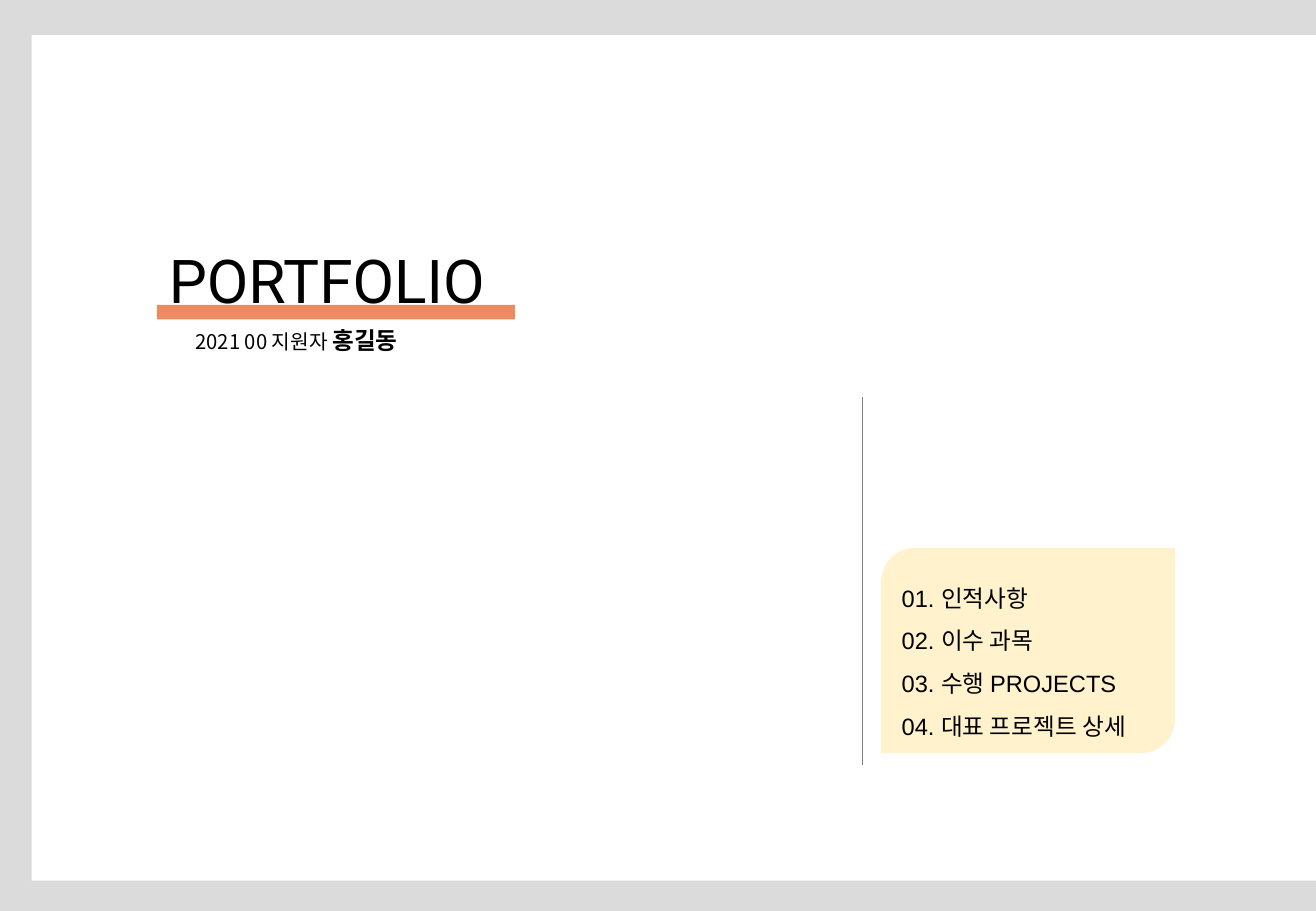
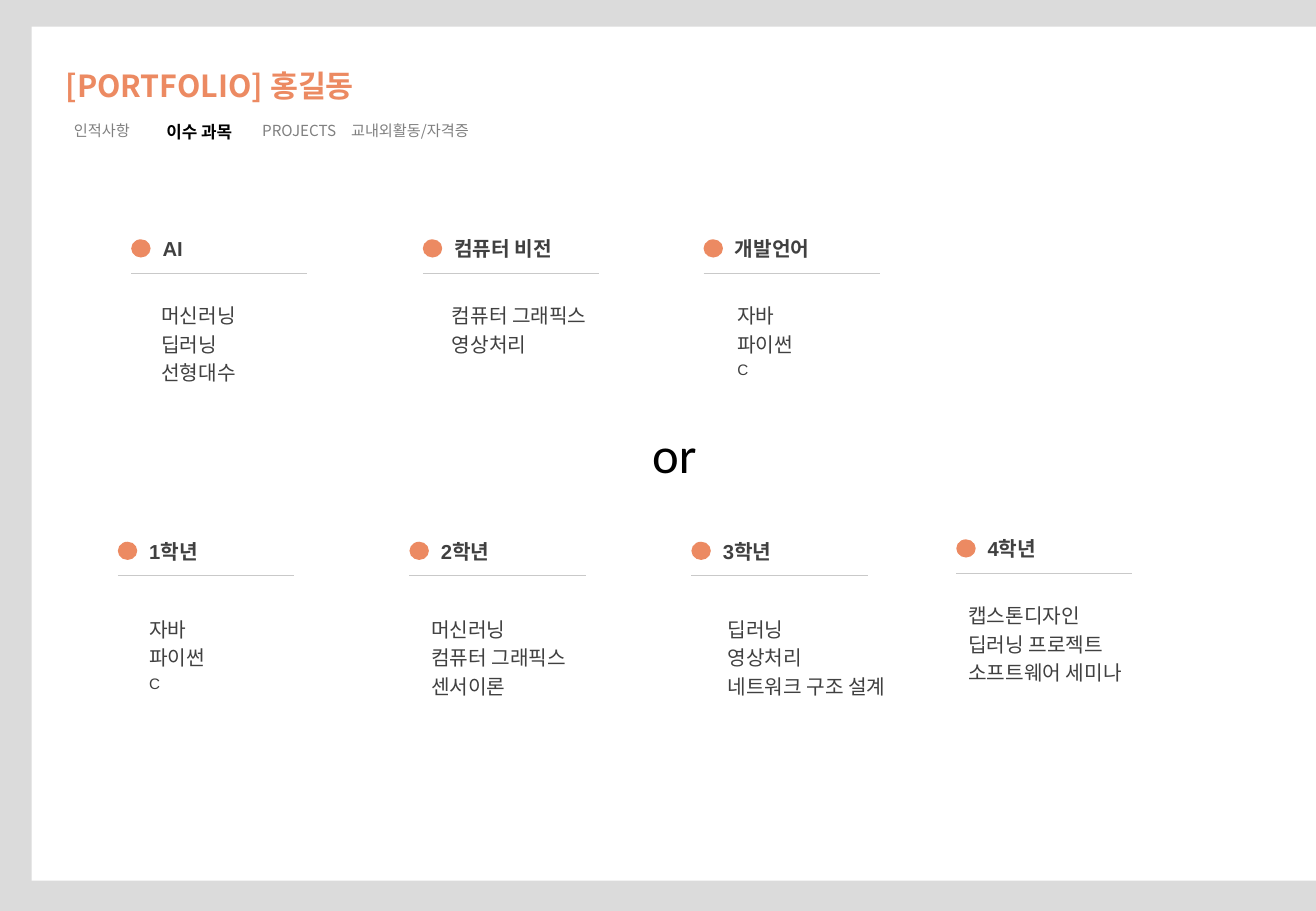
from lxml.etree import SubElement
from pptx import Presentation
from pptx.dml.color import RGBColor
from pptx.enum.shapes import MSO_CONNECTOR, MSO_SHAPE
from pptx.enum.text import MSO_ANCHOR, MSO_AUTO_SIZE, PP_ALIGN
from pptx.oxml.ns import qn
from pptx.util import Inches, Pt

BACK = RGBColor(0xDB, 0xDB, 0xDB)
WHITE = RGBColor(0xFF, 0xFF, 0xFF)
BLACK = RGBColor(0, 0, 0)
DARK = RGBColor(0x40, 0x40, 0x40)
GRAY = RGBColor(0x80, 0x80, 0x80)
PALE = RGBColor(0xC9, 0xC9, 0xC9)
CORAL = RGBColor(0xEC, 0x8A, 0x62)
CREAM = RGBColor(0xFF, 0xF2, 0xCC)
NOTO = "Noto Sans CJK KR"


def write(shape, text, box=None, size=12, color=DARK, font="Arial", bold=False,
          align=PP_ALIGN.LEFT, anchor=MSO_ANCHOR.TOP, spacing=1.0):
    """Add text to the last paragraph of a shape; each new line starts another."""
    if box:
        shape.left, shape.top, shape.width, shape.height = map(Inches, box)
    frame = shape.text_frame
    frame.word_wrap = True
    frame.auto_size = MSO_AUTO_SIZE.NONE
    frame.vertical_anchor = anchor
    for i, line in enumerate(text.split("\n")):
        para = frame.add_paragraph() if i else frame.paragraphs[-1]
        para.alignment = align
        para.line_spacing = spacing
        para.space_before = Pt(0)
        run = para.add_run()
        run.text = line
        run.font.size = Pt(size)
        run.font.bold = bold
        run.font.color.rgb = color
        run.font.name = font
        east = SubElement(run.font._element, qn("a:ea"))
        east.set("typeface", NOTO)


def paint(slide, kind, box, color):
    shape = slide.shapes.add_shape(kind, *map(Inches, box))
    shape.shadow.inherit = False
    shape.fill.solid()
    shape.fill.fore_color.rgb = color
    shape.line.fill.background()
    return shape


deck = Presentation()
deck.slide_width, deck.slide_height = Inches(10.83), Inches(7.5)
fill = deck.slide_master.background.fill
fill.solid()
fill.fore_color.rgb = BACK

# Cover with contents
cover = deck.slides.add_slide(deck.slide_layouts[1])
title, body = cover.placeholders
panels = [
    (MSO_SHAPE.RECTANGLE, (0.26, 0.29, 10.58, 6.96), WHITE),
    (MSO_SHAPE.ROUND_2_DIAG_RECTANGLE, (7.25, 4.51, 2.42, 1.69), CREAM),
    (MSO_SHAPE.RECTANGLE, (1.29, 2.51, 2.95, 0.12), CORAL),
]
for kind, box, color in panels:
    title.element.addprevious(paint(cover, kind, box, color).element)

write(title, "PORTFOLIO", (1.29, 1.95, 2.99, 0.7), size=35.8, color=BLACK, font="Roboto")
name = cover.shapes.add_textbox(0, 0, 0, 0)
write(name, "2021 00 지원자 ", (1.51, 2.63, 2.03, 0.34), color=BLACK, font=NOTO)
write(name, "홍길동", size=14, color=BLACK, font=NOTO, bold=True)

write(body, "01. 인적사항\n02. 이수 과목\n03. 수행 PROJECTS\n04. 대표 프로젝트 상세",
      (7.32, 4.64, 2.28, 1.51), size=14, color=BLACK, spacing=1.5)
for para in body.text_frame.paragraphs:
    props = para._p.get_or_add_pPr()
    props.set("marL", "0")
    props.set("indent", "0")
    SubElement(props, qn("a:buNone"))

rules = [(cover, 7.1, 3.27, 7.1, 6.3, GRAY)]

# Courses
course = deck.slides.add_slide(deck.slide_layouts[5])
title = course.shapes.title
page = paint(course, MSO_SHAPE.RECTANGLE, (0.26, 0.22, 10.58, 7.03), WHITE)
title.element.addprevious(page.element)
write(page, "or", size=30, color=BLACK, font="Calibri",
      align=PP_ALIGN.CENTER, anchor=MSO_ANCHOR.MIDDLE)
write(title, "[PORTFOLIO] 홍길동", (0.44, 0.5, 3.04, 0.57),
      size=18, color=CORAL, font=NOTO, bold=True)

tabs = [(0.51, 1.4, "인적사항"), (1.27, 0.91, "이수 과목"),
        (2.06, 1.4, "PROJECTS"), (2.79, 1.31, "교내외활동/자격증")]
for x, wide, text in tabs:
    here = text == "이수 과목"
    write(course.shapes.add_textbox(0, 0, 0, 0), text, (x, 0.95, wide, 0.25),
          size=10 if here else 9, color=BLACK if here else GRAY, font=NOTO, bold=here)

# Heading, its left and top, then left and top of its list
groups = [
    ("AI", 1.08, 1.9, 1.23, 2.45, ["머신러닝", "딥러닝", "선형대수"]),
    ("컴퓨터 비전", 3.48, 1.9, 3.62, 2.45, ["컴퓨터 그래픽스", "영상처리"]),
    ("개발언어", 5.79, 1.9, 5.97, 2.45, ["자바", "파이썬", "C"]),
    ("1학년", 0.97, 4.39, 1.13, 5.03, ["자바", "파이썬", "C"]),
    ("2학년", 3.37, 4.39, 3.45, 5.03, ["머신러닝", "컴퓨터 그래픽스", "센서이론"]),
    ("3학년", 5.69, 4.39, 5.89, 5.03, ["딥러닝", "영상처리", "네트워크 구조 설계"]),
    ("4학년", 7.87, 4.37, 7.87, 4.92, ["캡스톤디자인", "딥러닝 프로젝트", "소프트웨어 세미나"]),
]
for head, x, y, left, top, items in groups:
    paint(course, MSO_SHAPE.OVAL, (x, y + 0.07, 0.16, 0.15), CORAL)
    write(course.shapes.add_textbox(0, 0, 0, 0), head, (x + 0.16, y, 1.4, 0.3), bold=True)
    rules.append((course, x, y + 0.35, x + 1.45, y + 0.35, PALE))
    for i, item in enumerate(items):
        wide = 1.66 if len(item) > 7 else 1.4
        write(course.shapes.add_textbox(0, 0, 0, 0), item,
              (left, top + 0.235 * i, wide, 0.3), size=9 if item == "C" else 12)

for slide, x1, y1, x2, y2, color in rules:
    rule = slide.shapes.add_connector(MSO_CONNECTOR.STRAIGHT, *map(Inches, (x1, y1, x2, y2)))
    rule.line.color.rgb = color
    rule.line.width = Pt(0.5)
    SubElement(rule.element.spPr, qn("a:effectLst"))

deck.save("out.pptx")
